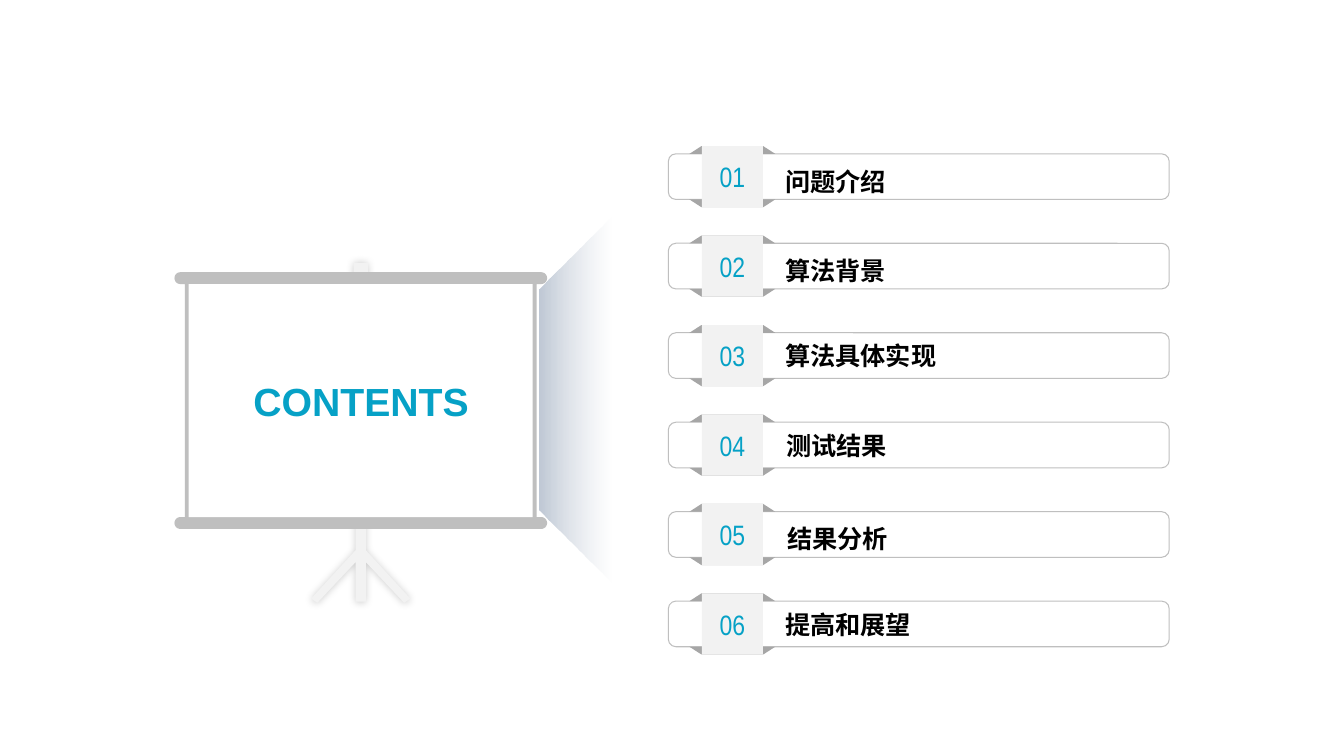
"""Build a contents slide with a projection screen and six numbered chapters."""
import math

import lxml.etree
import pptx
import pptx.dml.color
import pptx.enum.shapes
import pptx.enum.text
import pptx.oxml
import pptx.oxml.ns
import pptx.util

Pt = pptx.util.Pt
RGBColor = pptx.dml.color.RGBColor
SHAPE = pptx.enum.shapes.MSO_SHAPE
ALIGN = pptx.enum.text.PP_ALIGN

BLUE = RGBColor(0x06, 0xA1, 0xC6)
BLACK = RGBColor(0x00, 0x00, 0x00)
WHITE = RGBColor(0xFF, 0xFF, 0xFF)
LIGHT_GREY = RGBColor(0xF2, 0xF2, 0xF2)
MID_GREY = RGBColor(0xBF, 0xBF, 0xBF)
FLAP_GREY = RGBColor(0xA6, 0xA6, 0xA6)
BEAM_START = RGBColor(0xC0, 0xC9, 0xD6)
BEAM_END = RGBColor(0xD8, 0xDE, 0xE6)

CHAPTERS = [
    ("问题介绍", 1.3, 0, 0),
    ("算法背景", 1.3, 0, 0),
    ("算法具体实现", None, 0, 0),
    ("测试结果", None, 0.7, 0),
    ("结果分析", None, 1.4, 2.9),
    ("提高和展望", None, 0, 0),
]
ROW_PITCH = 63.9


def paint(shape, fill=None, line=None):
    """Give a shape a plain fill and outline without a shadow."""
    shape.shadow.inherit = False
    if fill is None:
        shape.fill.background()
    else:
        shape.fill.solid()
        shape.fill.fore_color.rgb = fill
    if line is None:
        shape.line.fill.background()
    else:
        shape.line.color.rgb = line
        shape.line.width = Pt(0.75)


def add_block(shapes, kind, box, fill=None, line=None):
    """Add a painted preset shape in the box."""
    shape = shapes.add_shape(kind, *map(Pt, box))
    paint(shape, fill, line)
    return shape


def write(shape, text, size, font, color, bold=False, align=ALIGN.LEFT, spacing=None):
    """Write one vertically centred paragraph into a shape."""
    frame = shape.text_frame
    frame.word_wrap = True
    frame.vertical_anchor = pptx.enum.text.MSO_ANCHOR.MIDDLE
    para = frame.paragraphs[0]
    para.text = text
    para.alignment = align
    para.line_spacing = spacing
    para.font.size = Pt(size)
    para.font.name = font
    para.font.bold = bold
    para.font.color.rgb = color


def add_outline(shapes, left, top, contours, fill):
    """Add a freeform from closed contours given relative to left and top."""
    placed = [[(Pt(left + x), Pt(top + y)) for x, y in contour] for contour in contours]
    builder = shapes.build_freeform(*placed[0][0], scale=1.0)
    builder.add_line_segments(placed[0][1:], close=True)
    for contour in placed[1:]:
        builder.move_to(*contour[0])
        builder.add_line_segments(contour[1:], close=True)
    shape = builder.convert_to_shape()
    paint(shape, fill)
    return shape


def rail_end(center_x, center_y, radius, start):
    """Return the points of a half circle running clockwise from start degrees."""
    angles = [math.radians(start + step * 15) for step in range(13)]
    return [(center_x + radius * math.cos(a), center_y + radius * math.sin(a)) for a in angles]


def add_stand(shapes, box):
    """Draw the tripod with its soft shadow."""
    left, top, width, height = box
    middle = width / 2
    cap = [(middle + x, y) for x, y in ((-5.1, 0), (5.1, 0), (5.1, 13), (-5.1, 13))]
    right_half = [(3.6, 169), (3.6, 205), (35.4, height - 3), (31, height),
                  (3.6, 213.5), (3.6, height - 0.8)]
    left_half = [(-x, y) for x, y in reversed(right_half)]
    legs = [(middle + x, y) for x, y in right_half + left_half]
    stand = add_outline(shapes, left, top, [cap, legs], LIGHT_GREY)
    effects = stand.element.spPr.find(pptx.oxml.ns.qn("a:effectLst"))
    effects.append(pptx.oxml.parse_xml(
        f'<a:outerShdw {pptx.oxml.ns.nsdecls("a")} blurRad="{Pt(6)}" dist="0" dir="13500000">'
        '<a:srgbClr val="000000"><a:alpha val="20000"/></a:srgbClr></a:outerShdw>'))


def add_screen(shapes, box):
    """Draw the tripod, the framed screen and its title."""
    left, top, width, height = box
    add_stand(shapes, box)
    radius, side = 4.25, 7.4
    upper, lower = 10.7, 185.6
    frame = (rail_end(radius, upper, radius, 90)
             + rail_end(width - radius, upper, radius, -90)
             + [(width - side, upper + radius), (width - side, lower - radius)]
             + rail_end(width - radius, lower, radius, -90)
             + rail_end(radius, lower, radius, 90)
             + [(side, lower - radius), (side, upper + radius)])
    add_outline(shapes, left, top, [frame], MID_GREY)
    canvas = (left + 10.1, top + upper + radius, width - 20.4, lower - upper - 2 * radius)
    add_block(shapes, SHAPE.RECTANGLE, canvas, WHITE)
    add_beam(shapes, (left + width - 5.5, top - 33.2, 51.1, 261.4))
    title = shapes.add_textbox(*map(Pt, (left + 48.3, top + 77.7, 170, 41)))
    write(title, "CONTENTS", 28, "Arial", BLUE, True, ALIGN.CENTER)


def add_beam(shapes, box):
    """Draw the light beam that widens and fades to the right."""
    left, top, width, height = box
    shift = (height - width) / 2
    beam = add_block(shapes, SHAPE.TRAPEZOID, (left - shift, top + shift, height, width))
    beam.rotation = 270
    beam.adjustments[0] = 1.013
    beam.fill.gradient()
    beam.fill.gradient_angle = 270
    for stop, color in zip(beam.fill.gradient_stops, (BEAM_START, BEAM_END)):
        stop.color.rgb = color
    last_color = beam.element.spPr.findall(".//" + pptx.oxml.ns.qn("a:srgbClr"))[-1]
    lxml.etree.SubElement(last_color, pptx.oxml.ns.qn("a:alpha")).set("val", "0")


def add_chapter(shapes, box, number, chapter):
    """Draw one outlined bar with its folded number tag and heading."""
    left, top, width, height = box
    text, spacing, shift_x, shift_y = chapter
    add_block(shapes, SHAPE.ROUNDED_RECTANGLE, box, line=MID_GREY)
    tag = shapes.add_group_shape().shapes
    flap = 5.5
    for flap_top, turn in ((top + height, 180), (top - flap, 0)):
        fold = add_block(tag, SHAPE.TRAPEZOID, (left + 15.1, flap_top, 61.2, flap), FLAP_GREY)
        fold.rotation = turn
        fold.adjustments[0] = 1.55
    tile = add_block(tag, SHAPE.RECTANGLE,
                     (left + 23.9, top - flap, 43.6, height + 2 * flap), LIGHT_GREY)
    write(tile, f"{number:02}", 20, "Arial Narrow", BLUE, align=ALIGN.CENTER)
    heading = shapes.add_textbox(
        *map(Pt, (left + 76.3 + shift_x, top + shift_y, width - 76.3, height)))
    write(heading, text, 18, "Arial", BLACK, True, spacing=spacing)


def main():
    """Build the deck and save it."""
    deck = pptx.Presentation()
    deck.slide_width, deck.slide_height = Pt(960), Pt(540)
    page = deck.slides.add_slide(deck.slide_layouts[6])
    add_screen(page.shapes, (124.6, 188, 266.2, 242.6))
    for index, chapter in enumerate(CHAPTERS):
        box = (477.4, 109.9 + index * ROW_PITCH, 357.8, 32.6)
        add_chapter(page.shapes, box, index + 1, chapter)
    deck.save("out.pptx")


if __name__ == "__main__":
    main()
